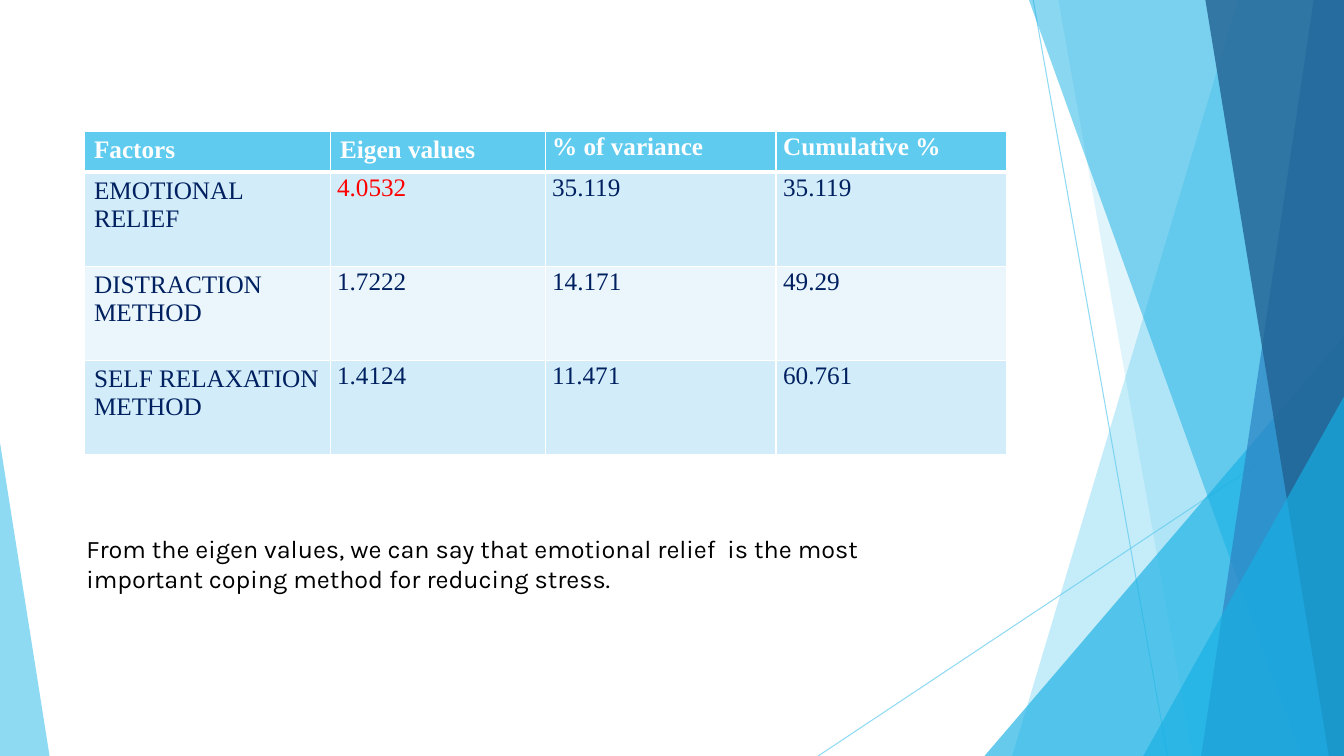
"""Build the factor analysis slide: a table of eigen values beside layered facets."""
from lxml import etree
from pptx import Presentation
from pptx import util as u
from pptx.dml.color import RGBColor
from pptx.enum import shapes
from pptx.oxml import ns

COLUMNS, ROWS = 16, 9
HEADINGS = ["Factors", "Eigen values", "% of variance", "Cumulative %"]
FACTORS = [
    ["EMOTIONAL RELIEF", "4.0532", "35.119", "35.119"],
    ["DISTRACTION METHOD", "1.7222", "14.171", "49.29"],
    ["SELF RELAXATION METHOD", "1.4124", "11.471", "60.761"],
]
CONCLUSION = ("From the eigen values, we can say that emotional relief  is the most "
              "important coping method for reducing stress.")


def color(value):
    """Turn a hex string into a colour."""
    return RGBColor.from_string(value)


def grid(steps):
    """Turn grid steps, a sixteenth of the slide's width each, into a length."""
    return u.Inches(steps * 5 / 6)


def add_tag(parent, tag, **attributes):
    """Append a drawing element to its parent."""
    return etree.SubElement(parent, ns.qn(f"a:{tag}"), attributes)


def set_opacity(shape, percent):
    """Make the colours of a shape partly transparent."""
    for node in shape._element.spPr.iter(ns.qn("a:srgbClr")):
        add_tag(node, "alpha", val=str(percent * 1000))


def write(frame, content, font="Times New Roman", size=18, ink="002060",
          bold=False, spacing=None):
    """Fill a text frame with one formatted paragraph."""
    frame.word_wrap = True
    paragraph = frame.paragraphs[0]
    paragraph.line_spacing = spacing
    run = paragraph.add_run()
    run.text = content
    run.font.name, run.font.size, run.font.bold = font, u.Pt(size), bold
    run.font.color.rgb = color(ink)


class FacetSlide:
    """A slide with translucent facets, a banded table and a note."""

    light, bright, blue, navy = "5FCBEF", "17B0E4", "2E83C3", "226292"
    white, accent = "FFFFFF", "FF0000"
    bands = ["D2ECF9", "EAF6FC"]

    def __init__(self, presentation):
        """Add a blank slide."""
        self.slide = presentation.slides.add_slide(presentation.slide_layouts[6])

    def paint(self, shape, fill, opacity):
        """Give a shape a plain translucent fill."""
        shape.shadow.inherit = False
        shape.fill.solid()
        shape.fill.fore_color.rgb = color(fill)
        shape.line.fill.background()
        set_opacity(shape, opacity)

    def line(self, start, end):
        """Draw a thin line across the facets."""
        connector = self.slide.shapes.add_connector(
            shapes.MSO_CONNECTOR.STRAIGHT, *map(grid, start + end))
        connector.line.color.rgb = color(self.light)
        connector.line.width = u.Pt(0.75)
        set_opacity(connector, 70)
        add_tag(connector._element.spPr, "effectLst")

    def facet(self, top, bottom, fill, opacity):
        """Fill the area between a slanted edge and the slide's right side."""
        corners = [(COLUMNS, 0), (COLUMNS, ROWS), (bottom, ROWS)]
        builder = self.slide.shapes.build_freeform(grid(top), 0)
        builder.add_line_segments([(grid(x), grid(y)) for x, y in corners])
        self.paint(builder.convert_to_shape(), fill, opacity)

    def triangle(self, left, right, top, peak, fill, opacity):
        """Stand a triangle on the slide's lower edge."""
        shape = self.slide.shapes.add_shape(
            shapes.MSO_SHAPE.ISOSCELES_TRIANGLE,
            *map(grid, (left, top, right - left, ROWS - top)))
        shape.adjustments[0] = peak
        self.paint(shape, fill, opacity)

    def cell(self, cell, content, fill, tight, top=1, bottom=1, **style):
        """Format one table cell with white borders."""
        properties = cell._tc.get_or_add_tcPr()
        for side, width in zip("LRTB", (1, 1, top, bottom)):
            border = add_tag(properties, f"ln{side}", w=str(u.Pt(width)))
            add_tag(add_tag(border, "solidFill"), "srgbClr", val=self.white)
        cell.fill.solid()
        cell.fill.fore_color.rgb = color(fill)
        if tight:
            cell.margin_left = cell.margin_right = u.Inches(0.07)
            cell.margin_top = cell.margin_bottom = 0
        write(cell.text_frame, content, spacing=1.07 if tight else None, **style)

    def table(self, left, top, widths, heights):
        """Add the table of factors."""
        table = self.slide.shapes.add_table(
            len(heights), len(widths),
            *map(grid, (left, top, sum(widths), sum(heights)))).table
        for column, width in zip(table.columns, widths):
            column.width = grid(width)
        for row, height in zip(table.rows, heights):
            row.height = grid(height)
        for index, heading in enumerate(HEADINGS):
            self.cell(table.cell(0, index), heading, self.light, index > 1,
                      bottom=3, ink=self.white, bold=True)
        highest = max(FACTORS, key=lambda factor: float(factor[1]))
        for number, factor in enumerate(FACTORS):
            for index, content in enumerate(factor):
                marked = factor is highest and index == 1
                self.cell(table.cell(number + 1, index), content,
                          self.bands[number % 2], index > 0,
                          top=1 if number else 3,
                          ink=self.accent if marked else "002060")

    def note(self, left, top, width, height, content):
        """Add a wrapped text box."""
        box = self.slide.shapes.add_textbox(*map(grid, (left, top, width, height)))
        write(box.text_frame, content, font="Karla", ink="000000")


def main():
    """Build and save the presentation."""
    presentation = Presentation()
    presentation.slide_width, presentation.slide_height = grid(COLUMNS), grid(ROWS)
    page = FacetSlide(presentation)
    page.line((12.3, 0), (13.9, ROWS))
    page.line((COLUMNS, 4.84), (9.74, ROWS))
    page.facet(14.74, 12.05, page.light, 36)
    page.facet(12.6, 14.2, page.light, 20)
    page.triangle(11.72, COLUMNS, 4, 1, page.bright, 66)
    page.facet(12.25, 15.49, page.bright, 50)
    page.facet(15.64, 14.3, page.blue, 70)
    page.facet(14.35, 15.82, page.navy, 80)
    page.triangle(13.61, COLUMNS, 4.72, 1, page.bright, 66)
    page.triangle(0, 0.59, 5.27, 0, page.light, 70)
    page.table(1, 1.56, [2.93, 2.56, 2.75, 2.75], [0.49] + [1.12] * len(FACTORS))
    page.note(0.91, 6.29, 10.55, 0.85, CONCLUSION)
    presentation.save("out.pptx")


if __name__ == "__main__":
    main()
